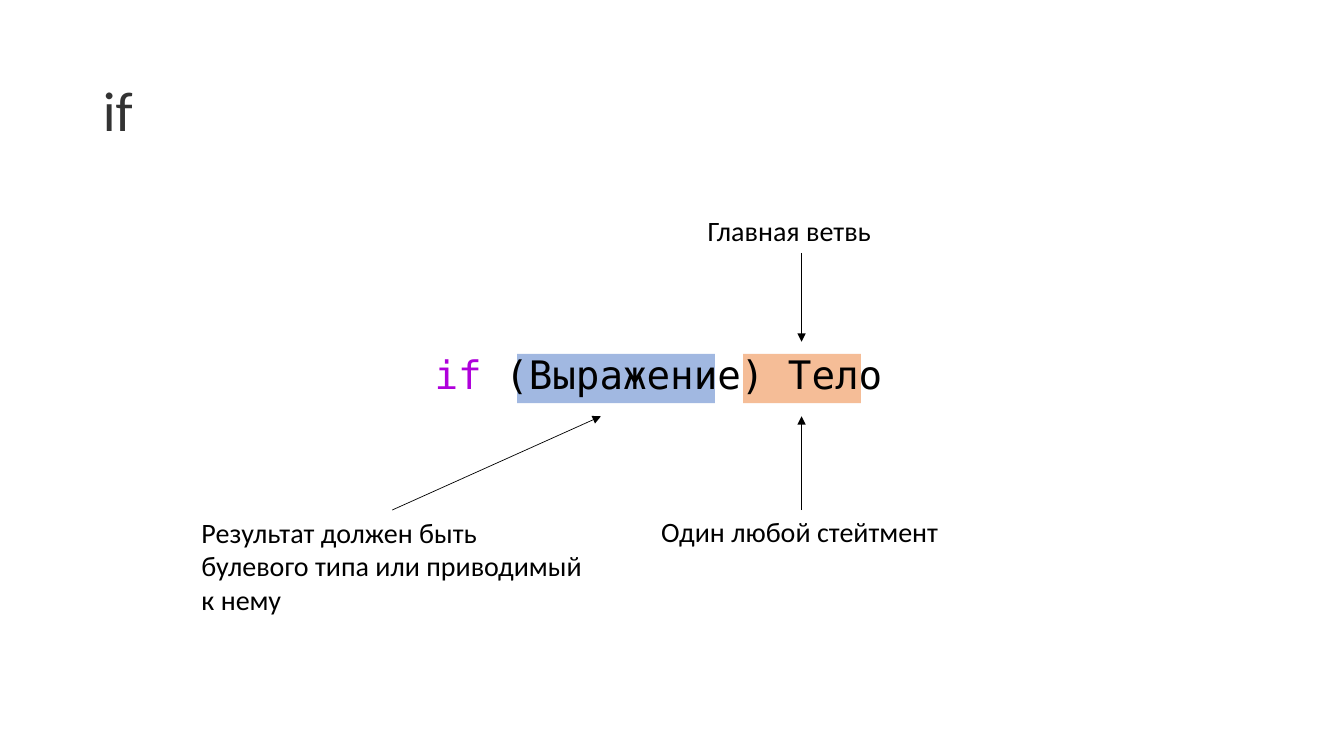
from lxml import etree
from pptx import Presentation
from pptx.dml.color import RGBColor
from pptx.enum.shapes import MSO_CONNECTOR, MSO_SHAPE
from pptx.enum.text import MSO_ANCHOR, MSO_AUTO_SIZE, PP_ALIGN
from pptx.oxml.ns import qn
from pptx.util import Inches, Pt

STRAIGHT = MSO_CONNECTOR.STRAIGHT
RECTANGLE = MSO_SHAPE.RECTANGLE
TOP, BOTTOM = 0, 2
COLORS = {"text": "000000", "title": "333333", "keyword": "AF00DB",
          "expression": "4472C4", "body": "ED7D31"}


def write(shape, lines, font="Calibri", size=20, spacing=None,
          anchor=MSO_ANCHOR.TOP, fit=MSO_AUTO_SIZE.NONE, wrap=True):
    """Fill a shape with lines, each a list of (text, colour name) spans."""
    frame = shape.text_frame
    frame.word_wrap = wrap
    frame.auto_size = fit
    frame.vertical_anchor = anchor
    for index, spans in enumerate(lines):
        para = frame.paragraphs[0] if index == 0 else frame.add_paragraph()
        properties = para._p.get_or_add_pPr()
        properties.set("marL", "0")
        properties.set("indent", "0")
        etree.SubElement(properties, qn("a:buNone"))
        para.alignment = PP_ALIGN.LEFT
        para.space_before = Pt(0)
        para.line_spacing = spacing
        for text, color in spans:
            span = para.add_run()
            span.text = text
            span.font.name = font
            span.font.size = Pt(size)
            span.font.color.rgb = RGBColor.from_string(COLORS[color])


def place(shape, left, top, width, height):
    shape.left, shape.top = Inches(left), Inches(top)
    shape.width, shape.height = Inches(width), Inches(height)


deck = Presentation()
deck.slide_width, deck.slide_height = Inches(13.33), Inches(7.5)
page = deck.slides.add_slide(deck.slide_layouts[1])
title, code = page.placeholders

place(title, 0.92, 0.4, 11.5, 1.45)
write(title, [[("if", "title")]], size=40, spacing=0.9, anchor=MSO_ANCHOR.MIDDLE)

place(code, 4.21, 3.48, 8.21, 0.55)
write(code, [[("if", "keyword"), (" (Выражение) Тело", "text")]],
      font="DejaVu Sans Mono", size=28, spacing=0.9)

# Half-transparent highlights lie behind the code
for left, width, color in [(5.13, 1.96, "expression"), (7.37, 1.17, "body")]:
    highlight = page.shapes.add_shape(
        RECTANGLE, Inches(left), Inches(3.51), Inches(width), Inches(0.49))
    highlight.shadow.inherit = False
    highlight.line.fill.background()
    highlight.fill.solid()
    highlight.fill.fore_color.rgb = RGBColor.from_string(COLORS[color])
    fill_color = highlight._element.spPr.find(qn("a:solidFill"))[0]
    etree.SubElement(fill_color, qn("a:alpha"), val="50000")
    page.shapes._spTree.insert(2, highlight._element)

# Label lines, place, wrapping, side the arrow leaves from, arrow tip
labels = [
    (["Главная ветвь"], (6.92, 2.07, 2.06, 0.44), True, BOTTOM, (7.95, 3.39)),
    (["Один любой стейтмент"], (6.46, 5.06, 2.98, 0.44), False, TOP, (7.95, 4.13)),
    (["Результат должен быть", "булевого типа или приводимый к нему"],
     (1.9, 5.06, 3.98, 1.11), True, TOP, (5.96, 4.13)),
]
for lines, bounds, wrap, side, (tip_x, tip_y) in labels:
    box = page.shapes.add_textbox(*[Inches(length) for length in bounds])
    write(box, [[(line, "text")] for line in lines],
          fit=MSO_AUTO_SIZE.SHAPE_TO_FIT_TEXT, wrap=wrap)
    arrow = page.shapes.add_connector(
        STRAIGHT, box.left, box.top, Inches(tip_x), Inches(tip_y))
    arrow.begin_connect(box, side)
    arrow.line.color.rgb = RGBColor.from_string(COLORS["text"])
    arrow.line.width = Pt(0.5)
    etree.SubElement(arrow.line._get_or_add_ln(), qn("a:tailEnd"), type="triangle")
    etree.SubElement(arrow._element.spPr, qn("a:effectLst"))

deck.save("out.pptx")
